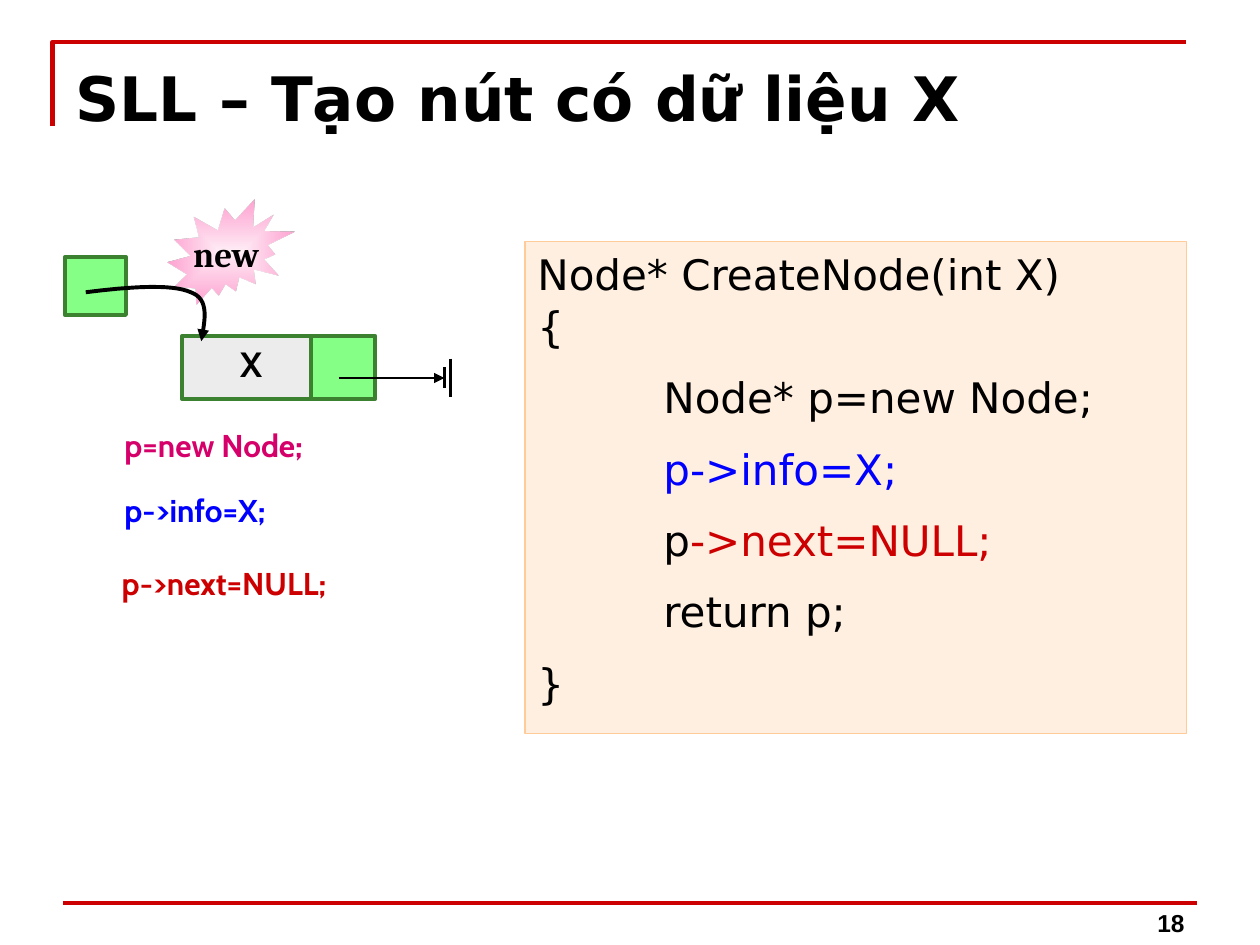
import lxml.etree
import pptx
import pptx.dml.color
import pptx.enum.shapes
import pptx.enum.text
import pptx.oxml.ns
import pptx.util

Pt = pptx.util.Pt
qn = pptx.oxml.ns.qn
SHAPES = pptx.enum.shapes.MSO_SHAPE
ALIGN = pptx.enum.text.PP_ALIGN
ANCHOR = pptx.enum.text.MSO_ANCHOR

BLACK, RED, BLUE, PINK = "000000", "CC0000", "0000FF", "D6006B"
GREEN, DARK_GREEN, GRAY, PEACH = "00FF00", "3B812F", "D9D9D9", "FFCC99"


def color(hex_string):
    return pptx.dml.color.RGBColor.from_string(hex_string)


def set_alpha(parent, percent):
    """Make every RGB colour below the element partly transparent."""
    for element in parent.iter(qn("a:srgbClr")):
        lxml.etree.SubElement(element, qn("a:alpha"), val=str(percent * 1000))


def style_line(shape, hex_string, width, arrow=False):
    shape.line.color.rgb = color(hex_string)
    shape.line.width = Pt(width)
    if arrow:
        line = shape.line._get_or_add_ln()
        lxml.etree.SubElement(line, qn("a:tailEnd"), type="triangle")


def write_text(shape, paragraphs, font="Cabin", size=18, hex_string=BLACK, bold=True,
               align=ALIGN.LEFT, anchor=ANCHOR.TOP, wrap=True,
               line_height=None, space_before=0):
    """Fill a shape; each paragraph is (indent, [(text, colour or None), ...])."""
    frame = shape.text_frame
    frame.word_wrap = wrap
    frame.vertical_anchor = anchor
    for index, (indent, runs) in enumerate(paragraphs):
        paragraph = frame.add_paragraph() if index else frame.paragraphs[0]
        paragraph.alignment = align
        paragraph.space_before = Pt(space_before if index else 0)
        if line_height:
            paragraph.line_spacing = Pt(line_height)
        if indent:
            paragraph._p.get_or_add_pPr().set("marL", str(Pt(indent)))
        for text, run_color in runs:
            for number, piece in enumerate(text.split("\n")):
                if number:
                    paragraph.add_line_break()
                run = paragraph.add_run()
                run.text = piece
                run.font.name = font
                run.font.size = Pt(size)
                run.font.bold = bold
                run.font.color.rgb = color(run_color or hex_string)


def add_text(slide, text, left, top, width, height, **text_format):
    box = slide.shapes.add_textbox(Pt(left), Pt(top), Pt(width), Pt(height))
    write_text(box, [(0, [(text, None)])], **text_format)


def add_box(slide, left, top, width, height, fill, alpha, line, line_width=2.25):
    box = slide.shapes.add_shape(SHAPES.RECTANGLE, Pt(left), Pt(top), Pt(width), Pt(height))
    box.shadow.inherit = False
    box.fill.solid()
    box.fill.fore_color.rgb = color(fill)
    set_alpha(box._element.spPr, alpha)
    style_line(box, line, line_width)
    return box


def add_burst(slide, left, top, width, height):
    burst = slide.shapes.add_shape(SHAPES.EXPLOSION2, Pt(left), Pt(top), Pt(width), Pt(height))
    burst.shadow.inherit = False
    burst.line.fill.background()
    burst.fill.gradient()
    center, edge = burst.fill.gradient_stops
    center.position, center.color.rgb = 0, color("FF99CC")
    edge.position, edge.color.rgb = 1, color("FFA4D2")
    gradient = burst._element.spPr.find(qn("a:gradFill"))
    set_alpha(gradient[0][0], 15)
    gradient.remove(gradient.find(qn("a:lin")))
    shading = lxml.etree.SubElement(gradient, qn("a:path"), path="shape")
    lxml.etree.SubElement(shading, qn("a:fillToRect"),
                          {side: "50000" for side in "ltrb"})
    return burst


def add_line(slide, start, end, hex_string=BLACK, width=1.5, arrow=False):
    line = slide.shapes.add_connector(pptx.enum.shapes.MSO_CONNECTOR.STRAIGHT,
                                      *(Pt(value) for value in (*start, *end)))
    style_line(line, hex_string, width, arrow)
    lxml.etree.SubElement(line._element.spPr, qn("a:effectLst"))


def add_open_path(slide, points, hex_string, width, arrow=False):
    points = [(Pt(x), Pt(y)) for x, y in points]
    builder = slide.shapes.build_freeform(*points[0])
    builder.add_line_segments(points[1:], close=False)
    outline = builder.convert_to_shape()
    outline.shadow.inherit = False
    outline.fill.background()
    style_line(outline, hex_string, width, arrow)


def bezier(start, control_1, control_2, end, steps=16):
    """Points along a cubic curve, without its start."""
    points = []
    for step in range(1, steps + 1):
        t = step / steps
        weights = ((1 - t) ** 3, 3 * t * (1 - t) ** 2, 3 * t * t * (1 - t), t ** 3)
        corners = (start, control_1, control_2, end)
        points.append(tuple(sum(w * corner[axis] for w, corner in zip(weights, corners))
                            for axis in (0, 1)))
    return points


def add_title(slide, text):
    title = slide.shapes.title
    title.left, title.top, title.width, title.height = Pt(36), Pt(28), Pt(648), Pt(62)
    title.text_frame.margin_top = Pt(6.5)
    write_text(title, [(0, [(text, None)])], font="DejaVu Sans", size=35)


def add_code(slide):
    box = add_box(slide, 300, 138, 378, 281, PEACH, 30, PEACH, 0.75)
    write_text(box, [
        (0, [("Node* CreateNode(int X)\n{", None)]),
        (72, [("Node* p=new Node;", None)]),
        (72, [("p->info=X;", BLUE)]),
        (72, [("p", None), ("->next=NULL;", RED)]),
        (72, [("return p;", None)]),
        (0, [("}", None)]),
    ], font="DejaVu Sans", size=24, bold=False, line_height=29.5, space_before=11.25)


def add_node_diagram(slide):
    add_box(slide, 104, 192, 73.5, 36, GRAY, 48, DARK_GREEN)
    add_box(slide, 177.5, 192, 37, 36, GREEN, 48, DARK_GREEN)
    burst = add_burst(slide, 96, 114, 72, 60)
    write_text(burst, [(0, [("new", None)])], font="Cambria", size=20,
               align=ALIGN.CENTER, anchor=ANCHOR.MIDDLE, wrap=False)
    add_text(slide, "X", 129.5, 192, 28, 31, size=20, align=ALIGN.CENTER, wrap=False)

    add_line(slide, (193.5, 216), (254, 216), arrow=True)
    for x, half_height in ((254, 6), (257.5, 11)):
        add_line(slide, (x, 216 - half_height), (x, 216 + half_height))

    add_box(slide, 37, 147, 35, 33, GREEN, 48, DARK_GREEN)
    start, bend, end = (49, 167), (109, 167), (115, 195)
    pointer = [start, *bezier(start, (73, 164), (98, 162), bend),
               *bezier(bend, (120, 171), (117, 183), end)]
    add_open_path(slide, pointer, BLACK, 2.25, arrow=True)


def main():
    presentation = pptx.Presentation()
    presentation.slide_width, presentation.slide_height = Pt(720), Pt(540)
    slide = presentation.slides.add_slide(presentation.slide_layouts[5])

    add_open_path(slide, [(30, 72), (30, 24), (678, 24)], RED, 2.5)
    add_line(slide, (36, 516), (684, 516), RED, 2)
    add_text(slide, "18", 516, 503, 168, 36, font="Arial", size=14,
             align=ALIGN.RIGHT, anchor=ANCHOR.BOTTOM)
    add_title(slide, "SLL – Tạo nút có dữ liệu X")
    add_code(slide)
    add_node_diagram(slide)
    for text, left, top, hex_string in (("p=new Node;", 64, 240, PINK),
                                        ("p->info=X;", 64, 277, BLUE),
                                        ("p->next=NULL;", 62.5, 319, RED)):
        add_text(slide, text, left, top, 224, 29, hex_string=hex_string)
    presentation.save("out.pptx")


if __name__ == "__main__":
    main()
